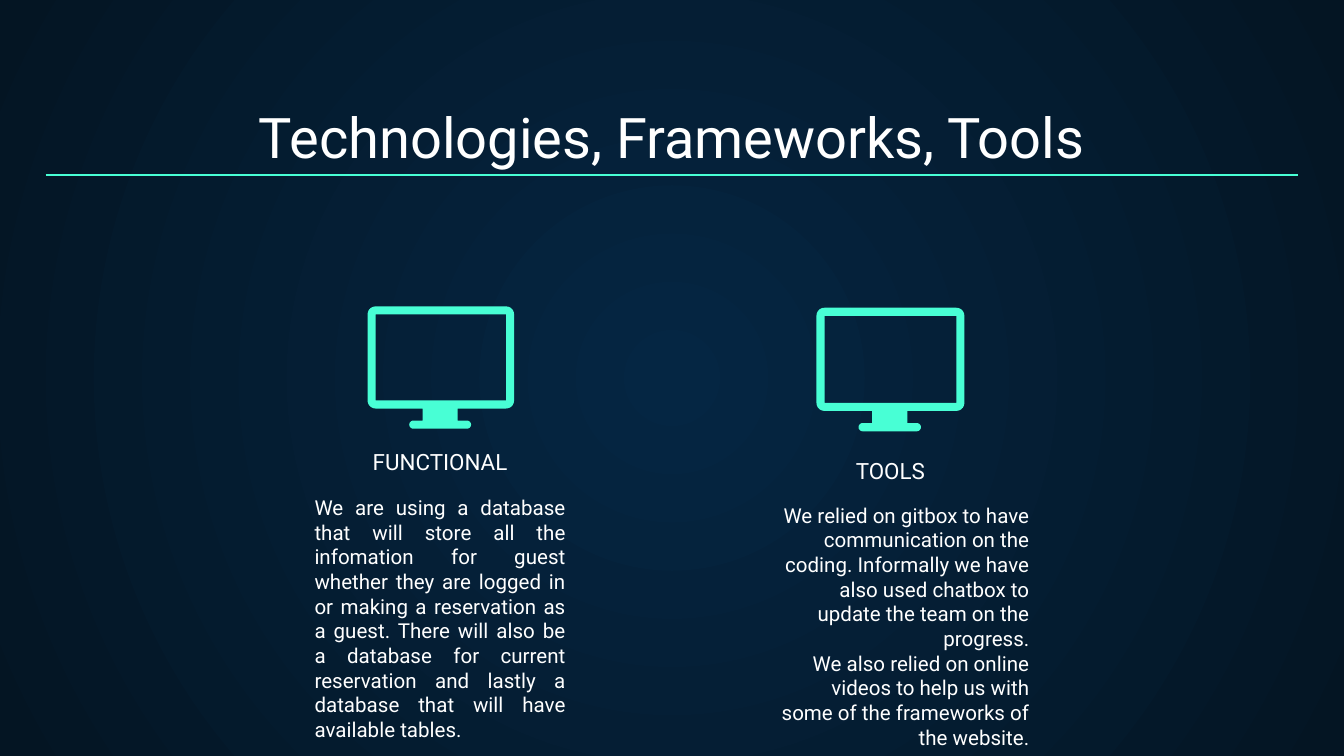
"""Build a slide on the technologies, frameworks and tools of a project."""
from math import cos, radians, sin

from lxml import etree
from pptx import Presentation
from pptx.dml.color import RGBColor
from pptx.enum.shapes import MSO_CONNECTOR
from pptx.enum.text import MSO_ANCHOR, MSO_AUTO_SIZE, PP_ALIGN
from pptx.oxml.ns import qn
from pptx.util import Inches, Pt

CENTER, JUSTIFY, RIGHT = PP_ALIGN.CENTER, PP_ALIGN.JUSTIFY, PP_ALIGN.RIGHT
TOP, BOTTOM = MSO_ANCHOR.TOP, MSO_ANCHOR.BOTTOM
NO_FIT = MSO_AUTO_SIZE.NONE
STRAIGHT = MSO_CONNECTOR.STRAIGHT
COLORS = {"glow": "052643", "night": "041523", "text": "FFFFFF", "accent": "48FFD5"}
FONT = "Roboto"

deck = Presentation()
deck.slide_width, deck.slide_height = Inches(10), Inches(10 * 9 / 16)
COL, ROW = deck.slide_width / 100, deck.slide_height / 100
slide = deck.slides.add_slide(deck.slide_layouts.get_by_name("Comparison"))
slots = {slot.placeholder_format.idx: slot for slot in slide.placeholders}


def write(slot, text, left, top, width, height, size=11, align=CENTER, anchor=BOTTOM):
    slot.left, slot.top = int(left * COL), int(top * ROW)
    slot.width, slot.height = int(width * COL), int(height * ROW)
    frame = slot.text_frame
    frame.text = text
    frame.word_wrap, frame.auto_size, frame.vertical_anchor = True, NO_FIT, anchor
    frame.margin_left = frame.margin_right = Inches(0.1)
    frame.margin_top = frame.margin_bottom = Inches(0.1)
    for paragraph in frame.paragraphs:
        paragraph.alignment, paragraph.space_before = align, Pt(0)
        properties = paragraph._p.get_or_add_pPr()
        properties.set("marL", "0")
        properties.set("indent", "0")
        etree.SubElement(properties, qn("a:buNone"))
        for run in paragraph.runs:
            run.font.name, run.font.size, run.font.bold = FONT, Pt(size), False
            run.font.color.rgb = RGBColor.from_string(COLORS["text"])


def arc(x, y, radius, start, end):
    angles = [radians(start + (end - start) * step / 12) for step in range(13)]
    return [(x + radius * cos(a), y + radius * sin(a)) for a in angles]


backdrop = slide.background.fill
backdrop.gradient()
for stop, tone in zip(backdrop.gradient_stops, ("glow", "night")):
    stop.color.rgb = RGBColor.from_string(COLORS[tone])
gradient = slide.element.find(".//" + qn("a:gradFill"))
gradient.remove(gradient.find(qn("a:lin")))
circle = etree.SubElement(gradient, qn("a:path"), {"path": "circle"})
etree.SubElement(circle, qn("a:fillToRect"), dict.fromkeys("ltrb", "50000"))

write(slots[0], "Technologies, Frameworks, Tools", 3.4, 12.5, 93.2, 11.73, size=30)

monitor = [
    *arc(60, 60, 60, 180, 270), *arc(1030, 60, 60, 270, 360),
    *arc(1030, 700, 60, 0, 90), (670, 760), (670, 850),
    *arc(740, 880, 30, -90, 90), *arc(340, 880, 30, 90, 270),
    (410, 850), (410, 760), *arc(60, 700, 60, 90, 180),
]
screen = [(60, 60), (60, 700), (1030, 700), (1030, 60)]

topics = [
    ("FUNCTIONAL", 21.4, 60.85,
     "We are using a database that will store all the infomation for guest whether "
     "they are logged in or making a reservation as a guest. There will also be a "
     "database for current reservation and lastly a database that will have "
     "available tables.", 22.4, 63.7, JUSTIFY, 27.35, 40.53, 1),
    ("TOOLS", 54.9, 62.04,
     "We relied on gitbox to have communication on the coding. Informally we have "
     "also used chatbox to update the team on the progress.\n"
     "We also relied on online videos to help us with some of the frameworks of "
     "the website.", 56.9, 64.71, RIGHT, 60.75, 40.71, 1.01),
]
for index, topic in enumerate(topics):
    (label, label_left, label_top, details, details_left, details_top,
     align, icon_left, icon_top, zoom) = topic
    write(slots[2 * index + 1], label, label_left, label_top, 22.7, 3.73, size=12)
    write(slots[2 * index + 2], details, details_left, details_top, 20.7, 9.78,
          align=align, anchor=TOP)
    outline = slide.shapes.build_freeform(*monitor[0], scale=Inches(zoom) / 1000)
    outline.add_line_segments(monitor[1:])
    outline.move_to(*screen[0])
    outline.add_line_segments(screen[1:])
    icon = outline.convert_to_shape(int(icon_left * COL), int(icon_top * ROW))
    icon.shadow.inherit = False
    icon.fill.solid()
    icon.fill.fore_color.rgb = RGBColor.from_string(COLORS["accent"])
    icon.line.fill.background()

rule_y = int(23.15 * ROW)
rule = slide.shapes.add_connector(
    STRAIGHT, int(3.4 * COL), rule_y, int(96.6 * COL), rule_y)
rule.line.color.rgb = RGBColor.from_string(COLORS["accent"])
rule.line.width = Pt(0.75)
etree.SubElement(rule._element.spPr, qn("a:effectLst"))

deck.save("out.pptx")
